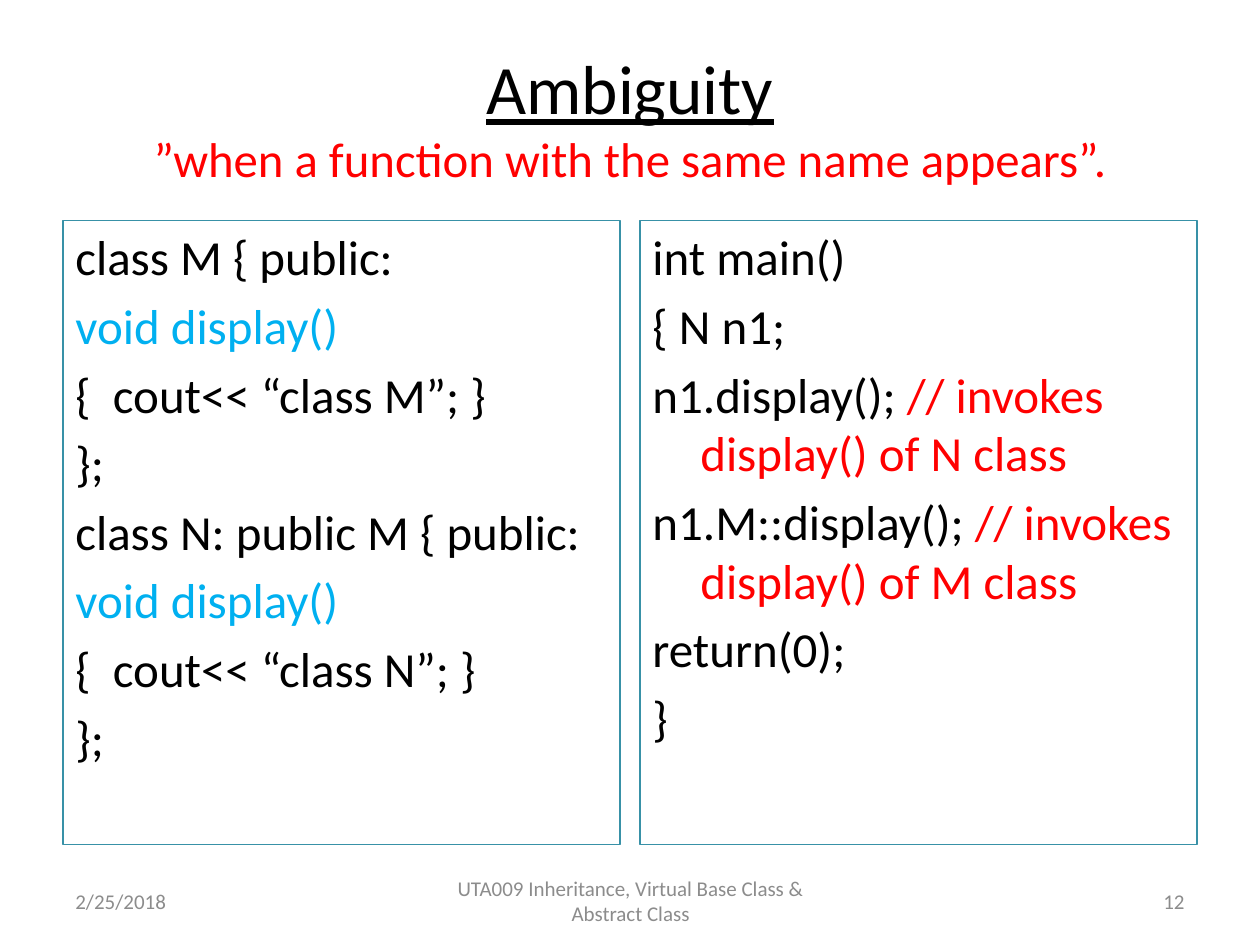
import pptx
import pptx.util
import pptx.dml.color
import pptx.enum.shapes
import pptx.enum.text

Inch, Pt = pptx.util.Inches, pptx.util.Pt
ALIGN = pptx.enum.text.PP_ALIGN
ANCHOR = pptx.enum.text.MSO_ANCHOR

BLACK, RED, BLUE, GRAY, TEAL = "000000", "FF0000", "00B0F0", "8C8C8C", "3891A7"

# Each line is a list of (text, colour) runs.
CODE = [
    [
        [("class M { public:", BLACK)],
        [("void display()", BLUE)],
        [("{  cout<< “class M”; }", BLACK)],
        [("};", BLACK)],
        [("class N: public M { public:", BLACK)],
        [("void display()", BLUE)],
        [("{  cout<< “class N”; }", BLACK)],
        [("};", BLACK)],
    ],
    [
        [("int main()", BLACK)],
        [("{ N n1;", BLACK)],
        [("n1.display(); ", BLACK), ("// invokes display() of N class", RED)],
        [("n1.M::display(); ", BLACK), ("// invokes display() of M class", RED)],
        [("return(0);", BLACK)],
        [("}", BLACK)],
    ],
]
TITLE = "Ambiguity"
QUOTE = "”when a function with the same name appears”."
FOOT = [
    ("2/25/2018", 0.5, 2.33, ALIGN.LEFT),
    ("UTA009 Inheritance, Virtual Base Class & Abstract Class", 3.42, 3.17, ALIGN.CENTER),
    ("12", 7.17, 2.33, ALIGN.RIGHT),
]

WIDE, HIGH = 10, 7.5
EDGE = 0.05 * WIDE
GAP = 0.16
COL = (WIDE - 2 * EDGE - GAP) / 2


def tint(code):
    return pptx.dml.color.RGBColor.from_string(code)


def write(para, text, size=28, color=BLACK, under=False):
    run = para.add_run()
    run.text = text
    font = run.font
    font.name, font.size, font.underline = "Calibri", Pt(size), under
    font.color.rgb = tint(color)


def frame(shape, anchor):
    body = shape.text_frame
    body.word_wrap = True
    body.vertical_anchor = anchor
    return body


def label(slide, x, y, w, h, align):
    """Add a middle-anchored text box and return its first paragraph."""
    box = slide.shapes.add_textbox(Inch(x), Inch(y), Inch(w), Inch(h))
    para = frame(box, ANCHOR.MIDDLE).paragraphs[0]
    para.alignment = align
    return para


def panel(slide, x, lines):
    """Add an outlined box of code whose wrapped lines hang."""
    box = slide.shapes.add_shape(
        pptx.enum.shapes.MSO_SHAPE.RECTANGLE,
        Inch(x), Inch(1.75), Inch(COL), Inch(4.95))
    box.shadow.inherit = False
    box.fill.background()
    box.line.color.rgb = tint(TEAL)
    box.line.width = Pt(0.75)
    body = frame(box, ANCHOR.TOP)
    for i, runs in enumerate(lines):
        para = body.add_paragraph() if i else body.paragraphs[0]
        para.alignment = ALIGN.LEFT
        para.space_before = Pt(5.6 if i else 0)
        props = para._p.get_or_add_pPr()
        props.set("marL", str(Inch(0.38)))
        props.set("indent", str(-Inch(0.38)))
        for text, color in runs:
            write(para, text, color=color)


def main():
    deck = pptx.Presentation()
    deck.slide_width, deck.slide_height = Inch(WIDE), Inch(HIGH)
    slide = deck.slides.add_slide(deck.slide_layouts[6])

    head = label(slide, EDGE, 0.3, WIDE - 2 * EDGE, 1.25, ALIGN.CENTER)
    write(head, TITLE, size=39.6, under=True)
    head.add_line_break()
    write(head, QUOTE, size=27.9, color=RED)

    for i, lines in enumerate(CODE):
        panel(slide, EDGE + i * (COL + GAP), lines)
    for text, x, w, align in FOOT:
        write(label(slide, x, 6.95, w, 0.4, align), text, size=12, color=GRAY)

    deck.save("out.pptx")


if __name__ == "__main__":
    main()
